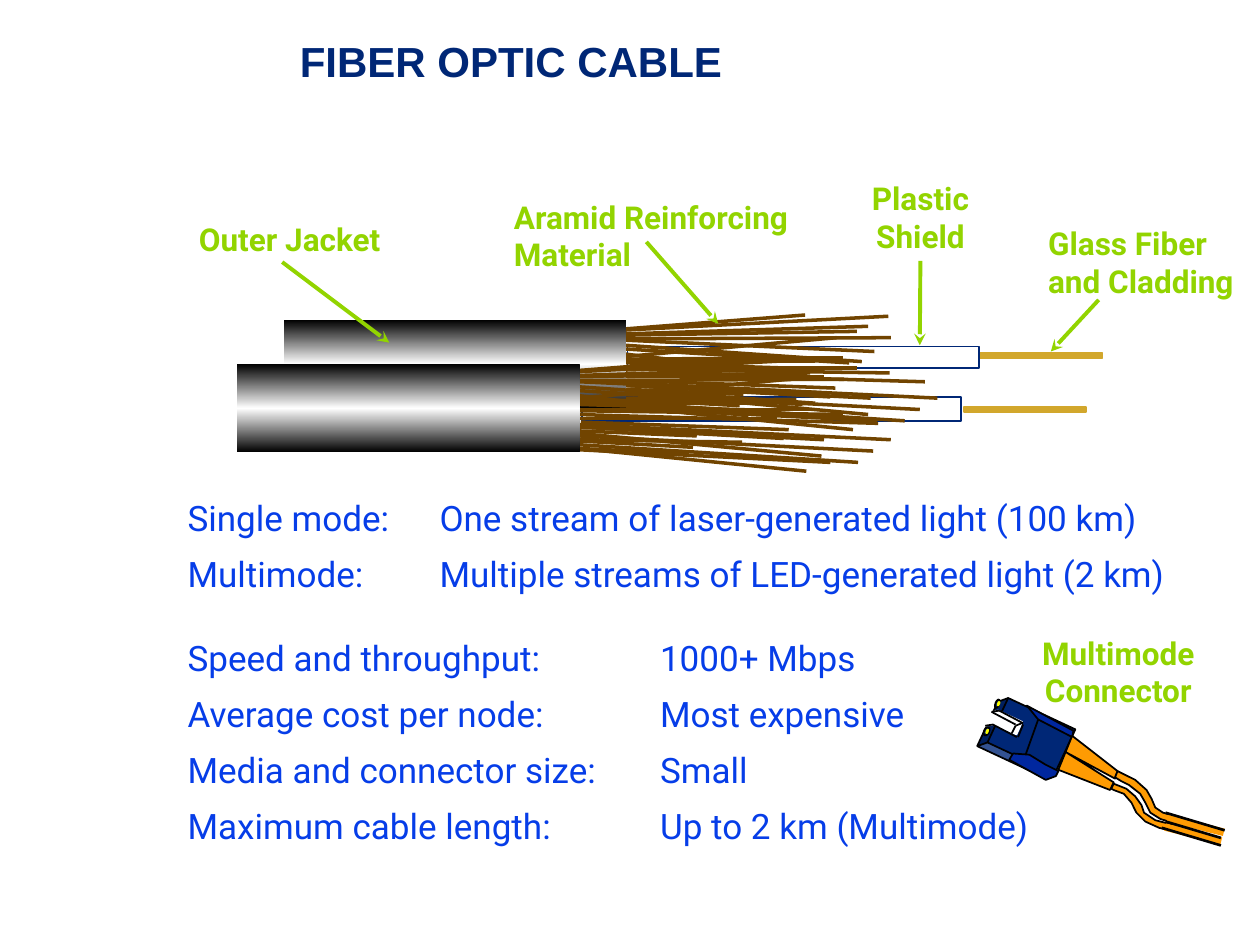
from copy import deepcopy

from lxml import etree
from pptx import Presentation
from pptx.dml.color import RGBColor
from pptx.enum.shapes import MSO_CONNECTOR, MSO_SHAPE
from pptx.enum.text import MSO_ANCHOR, MSO_AUTO_SIZE, PP_ALIGN
from pptx.oxml.ns import qn
from pptx.util import Inches, Pt

RECT, CUBE, OVAL = MSO_SHAPE.RECTANGLE, MSO_SHAPE.CUBE, MSO_SHAPE.OVAL
STRAIGHT = MSO_CONNECTOR.STRAIGHT
LEFT, CENTER = PP_ALIGN.LEFT, PP_ALIGN.CENTER
TOP = MSO_ANCHOR.TOP
GROW = MSO_AUTO_SIZE.SHAPE_TO_FIT_TEXT
BOTTOM_SIDE = 2

NAVY = RGBColor(0x00, 0x27, 0x76)
DEEP_BLUE = RGBColor(0x00, 0x27, 0x9F)
TEXT_BLUE = RGBColor(0x06, 0x3D, 0xE8)
GREEN = RGBColor(0x92, 0xD4, 0x00)
BROWN = RGBColor(0x71, 0x44, 0x00)
GOLD = RGBColor(0xD2, 0xA7, 0x2C)
ORANGE = RGBColor(0xFE, 0x9B, 0x03)
YELLOW = RGBColor(0xFA, 0xFD, 0x00)
BLACK = RGBColor(0, 0, 0)
WHITE = RGBColor(255, 255, 255)

# Strand ends of the rear cable: x1, y1, x2, y2
STRANDS = [
    (4.97, 2.61, 6.39, 2.5), (4.96, 2.65, 6.89, 2.59), (4.97, 2.69, 7.07, 2.68),
    (4.96, 2.74, 6.84, 2.87), (4.96, 2.83, 6.64, 2.68), (4.96, 2.77, 6.74, 2.88),
    (4.97, 2.7, 6.94, 2.79), (4.96, 2.62, 7.05, 2.51), (4.96, 2.81, 6.31, 2.97),
    (4.96, 2.92, 6.8, 2.92), (4.97, 2.87, 6.47, 2.87), (4.96, 2.96, 7.34, 3.03),
    (4.98, 3.02, 6.63, 3.08), (4.98, 3.06, 6.59, 3.15), (4.97, 3.24, 6.96, 3.34),
    (4.97, 3.16, 6.26, 3.18), (4.96, 3.11, 6.89, 3.29), (4.97, 3.06, 6.91, 3.16),
    (4.97, 3.04, 7.44, 3.16), (4.97, 2.99, 6.54, 2.99), (4.97, 2.93, 7.06, 2.96),
    (4.96, 2.85, 6.69, 2.84), (4.97, 2.88, 6.52, 2.93), (4.97, 2.66, 6.8, 2.63),
    (4.97, 3.2, 7.18, 3.34), (4.97, 3.23, 6.77, 3.41), (4.97, 3.13, 7.3, 3.25),
    (4.96, 3.09, 5.9, 3.13), (4.97, 3.17, 5.87, 3.22), (4.97, 3.23, 5.84, 3.27),
]
FRONT_SHIFT = (-0.37, 0.33)

# Label text, box, alignment, arrow start, arrow tip
LABELS = [
    ("Outer Jacket", (1.48, 1.7, 1.72, 0.4), LEFT, (2.24, 2.08), (3.09, 2.72)),
    ("Aramid Reinforcing\nMaterial", (3.98, 1.52, 2.42, 0.7), LEFT, (5.13, 1.92), (5.7, 2.57)),
    ("Plastic\nShield", (6.8, 1.37, 1.01, 0.7), CENTER, None, (7.3, 2.74)),
    ("Glass Fiber\nand Cladding", (8.22, 1.73, 1.78, 0.7), LEFT, (8.72, 2.38), (8.34, 2.79)),
]

# Row text, tab stop, space before in points
FACTS = [
    ("Single mode:\tOne stream of laser-generated light (100 km)", 2, 0),
    ("Multimode:\tMultiple streams of LED-generated light (2 km)", 2, 4),
    ("Speed and throughput:\t1000+ Mbps", 3.75, 20),
    ("Average cost per node:\tMost expensive", 3.75, 4),
    ("Media and connector size:\tSmall", 3.75, 4),
    ("Maximum cable length:\tUp to 2 km (Multimode)", 3.75, 4),
]

PLUG_SLOT_END = [(7.92, 5.64), (7.85, 5.66), (7.82, 5.76), (7.88, 5.75)]
PLUG_LOWER_SIDE = [(8.01, 6.03), (8.04, 5.98), (8.17, 5.99), (8.3, 6.07), (8.38, 6.11),
                   (8.4, 6.12), (8.38, 6.16), (8.3, 6.19)]
PLUG_UPPER_SIDE = [(8.15, 5.6), (8.24, 5.71), (8.51, 5.85), (8.52, 5.8)]
PLUG_EDGES = [
    (7.87, 5.65, 7.93, 5.64), (7.87, 5.65, 8.06, 5.75), (8.06, 5.76, 8.11, 5.74),
    (8.06, 5.76, 8.03, 5.82), (7.93, 5.64, 8.12, 5.74), (8.12, 5.75, 8.08, 5.85),
    (8.07, 5.85, 7.88, 5.75), (7.88, 5.75, 7.82, 5.76), (8.24, 5.71, 8.14, 5.99),
]
BOOTS = [(8.51, 5.84), (8.87, 6.12), (8.85, 6.18), (8.46, 5.97), (8.84, 6.21),
         (8.81, 6.27), (8.4, 6.11)]
LOWER_CORD = [(8.84, 6.22), (8.94, 6.26), (9.01, 6.32), (9.06, 6.39), (9.08, 6.45),
              (9.17, 6.51), (9.29, 6.54), (9.38, 6.55), (9.36, 6.58), (9.37, 6.61),
              (9.2, 6.57), (9.09, 6.52), (9.02, 6.45), (8.98, 6.37), (8.92, 6.3),
              (8.84, 6.27), (8.82, 6.26)]
UPPER_CORD = [(8.87, 6.12), (9.01, 6.19), (9.1, 6.27), (9.14, 6.34), (9.17, 6.41),
              (9.23, 6.45), (9.34, 6.48), (9.38, 6.49), (9.37, 6.52), (9.37, 6.55),
              (9.21, 6.5), (9.13, 6.45), (9.09, 6.37), (9.05, 6.3), (8.96, 6.23),
              (8.9, 6.2), (8.85, 6.17)]
CORD_EDGES = [(9.22, 6.57, 9.69, 6.71), (9.25, 6.52, 9.69, 6.65), (9.25, 6.45, 9.72, 6.59)]


def write(paragraph, text, *, size, color, font="Roboto", bold=False, align=LEFT,
          before=0, after=0, tab=None):
    paragraph.alignment = align
    paragraph.space_before, paragraph.space_after = Pt(before), Pt(after)
    if tab:
        tabs = etree.SubElement(paragraph._p.get_or_add_pPr(), qn("a:tabLst"))
        etree.SubElement(tabs, qn("a:tab"), pos=str(Inches(tab)), algn="l")
    run = paragraph.add_run()
    run.text = text
    run.font.name, run.font.size, run.font.bold = font, Pt(size), bold
    run.font.color.rgb = color


class CableSlide:
    def __init__(self, slide):
        self.slide, self.shapes = slide, slide.shapes

    def title(self, text, box):
        holder = self.shapes.title
        holder.left, holder.top, holder.width, holder.height = map(Inches, box)
        holder.text_frame.vertical_anchor = TOP
        write(holder.text_frame.paragraphs[0], text, size=24, color=NAVY, font="Arial", bold=True)

    def text_box(self, rows, box, wrap=False):
        """Add a box from rows of (text, format keywords)."""
        shape = self.shapes.add_textbox(*map(Inches, box))
        frame = shape.text_frame
        frame.word_wrap, frame.auto_size = wrap, GROW
        for i, (text, style) in enumerate(rows):
            write(frame.add_paragraph() if i else frame.paragraphs[0], text, **style)
        return shape

    def label(self, text, box, align):
        style = {"size": 18, "color": GREEN, "bold": True, "align": align}
        return self.text_box([(row, style) for row in text.split("\n")], box)

    def paint(self, shape, fill, line):
        shape.shadow.inherit = False
        shape.fill.solid()
        shape.fill.fore_color.rgb = fill
        if line is None:
            shape.line.fill.background()
        else:
            shape.line.color.rgb, shape.line.width = line, Pt(1)
        return shape

    def preset(self, kind, box, fill, line=None, turn=0):
        shape = self.shapes.add_shape(kind, *map(Inches, box))
        shape.rotation = turn
        return self.paint(shape, fill, line)

    def outline(self, points, fill, line):
        start, *rest = [(Inches(x), Inches(y)) for x, y in points]
        builder = self.shapes.build_freeform(*start)
        builder.add_line_segments(rest, close=True)
        return self.paint(builder.convert_to_shape(), fill, line)

    def line(self, ends, color, width, arrow=False):
        connector = self.shapes.add_connector(STRAIGHT, *map(Inches, ends))
        connector.line.color.rgb, connector.line.width = color, Pt(width)
        if arrow:
            etree.SubElement(connector.line._get_or_add_ln(), qn("a:tailEnd"), type="stealth")
        etree.SubElement(connector._element.spPr, qn("a:effectLst"))
        return connector

    def jacket(self, box):
        """Add a tube shaded black, white, black from top to bottom."""
        fill = self.preset(RECT, box, BLACK).fill
        fill.gradient()
        fill.gradient_angle = 90
        first = fill.gradient_stops[0]._gs
        first.addnext(deepcopy(first))
        for stop, position, color in zip(fill.gradient_stops, (0, 0.5, 1), (BLACK, WHITE, BLACK)):
            stop.position, stop.color.rgb = position, color

    def strands(self, dx=0, dy=0):
        for x1, y1, x2, y2 in STRANDS:
            self.line((x1 + dx, y1 + dy, x2 + dx, y2 + dy), BROWN, 2)

    def connector_plug(self):
        self.preset(CUBE, (7.82, 5.63, 0.65, 0.45), NAVY, BLACK, 205).adjustments[0] = 0.136
        self.preset(RECT, (7.89, 5.68, 0.21, 0.11), WHITE, WHITE, 205)
        self.outline(PLUG_SLOT_END, WHITE, WHITE)
        self.preset(OVAL, (7.9, 5.55, 0.03, 0.07), NAVY, BLACK, 22)
        self.preset(OVAL, (7.81, 5.77, 0.04, 0.07), NAVY, BLACK, 26)
        self.preset(OVAL, (7.92, 5.57, 0.01, 0.03), YELLOW, YELLOW, 22)
        self.preset(OVAL, (7.83, 5.79, 0.01, 0.03), YELLOW, YELLOW, 20)
        for side in (PLUG_LOWER_SIDE, PLUG_UPPER_SIDE):
            self.outline(side, DEEP_BLUE, BLACK)
        for edge in PLUG_EDGES:
            self.line(edge, BLACK, 1)
        for part in (BOOTS, LOWER_CORD, UPPER_CORD):
            self.outline(part, ORANGE, BLACK)
        for left, top in ((9.26, 6.52), (9.24, 6.59)):
            self.preset(RECT, (left, top, 0.46, 0.06), ORANGE, turn=14.1)
        for edge in CORD_EDGES:
            self.line(edge, BLACK, 1.5)


def main():
    deck = Presentation()
    deck.slide_width, deck.slide_height = Inches(10), Inches(7.5)
    page = CableSlide(deck.slides.add_slide(deck.slide_layouts[5]))
    page.title("FIBER OPTIC CABLE", (2.28, 0.23, 6.98, 0.82))

    for left, top in ((7.78, 2.8), (7.65, 3.23)):
        page.preset(RECT, (left, top, 0.97, 0.04), GOLD, GOLD)
    for shield in ((4.62, 3.15, 3.01, 0.19), (4.98, 2.75, 2.79, 0.17)):
        page.preset(RECT, shield, WHITE, NAVY)
    page.strands()
    page.jacket((2.25, 2.54, 2.72, 0.7))
    page.strands(*FRONT_SHIFT)
    page.jacket((1.88, 2.89, 2.72, 0.7))

    for text, box, align, start, tip in LABELS:
        label = page.label(text, box, align)
        arrow = page.line((*(start or tip), *tip), GREEN, 2.25, arrow=True)
        if start is None:
            arrow.begin_connect(label, BOTTOM_SIDE)

    facts = [(text, {"size": 20, "color": TEXT_BLUE, "before": before, "after": 4, "tab": tab})
             for text, tab, before in FACTS]
    page.text_box(facts, (1.39, 3.89, 8.61, 2.99), wrap=True)
    page.label("Multimode\nConnector", (8.15, 4.98, 1.45, 0.7), CENTER)
    page.connector_plug()
    deck.save("out.pptx")


if __name__ == "__main__":
    main()
